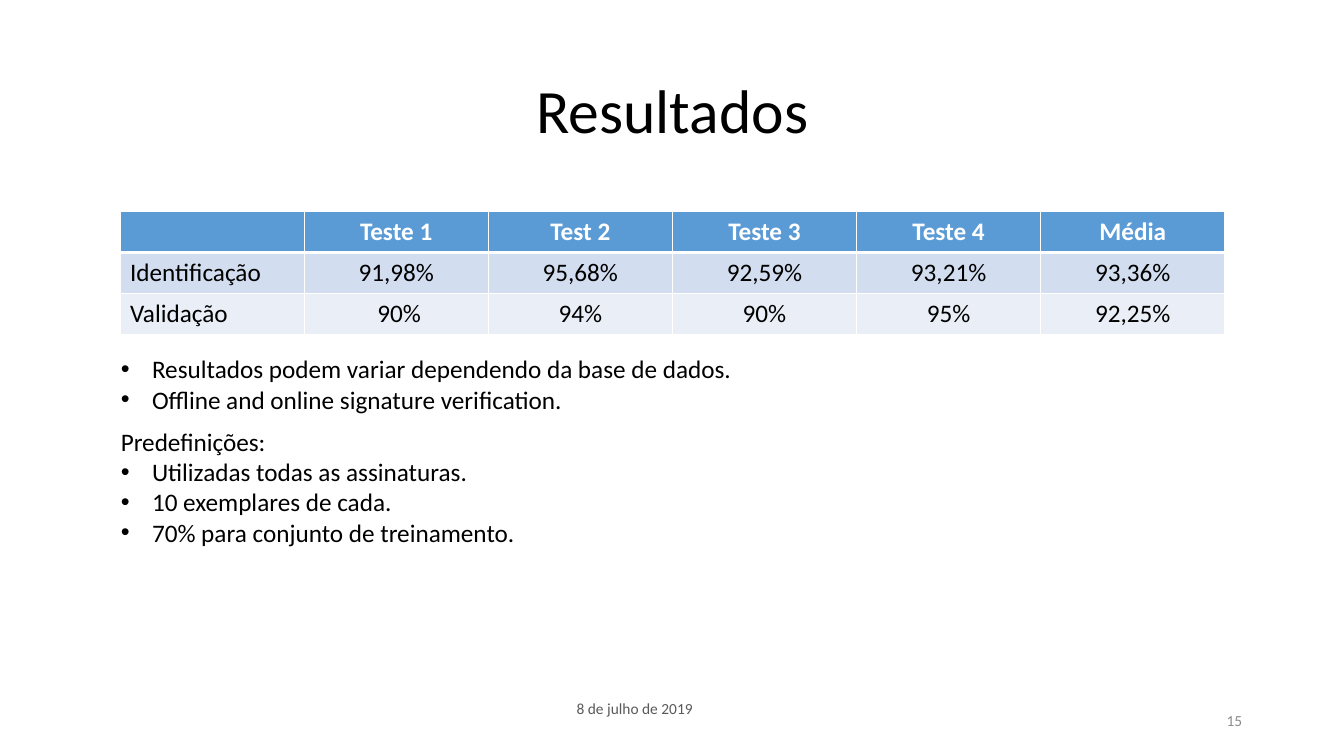
from lxml import etree
from pptx import Presentation
from pptx.dml.color import RGBColor
from pptx.enum import text as t
from pptx.oxml import ns
from pptx.util import Inches, Pt

# Content
TITLE = "Resultados"
DATE = "8 de julho de 2019"
PAGE = "15"
GRID = [
    ["", "Teste 1", "Test 2", "Teste 3", "Teste 4", "Média"],
    ["Identificação", "91,98%", "95,68%", "92,59%", "93,21%", "93,36%"],
    ["Validação", " 90%", "94%", "90%", "95%", "92,25%"],
]
NOTES = ["Resultados podem variar dependendo da base de dados.",
         "Offline and online signature verification."]
HEAD = "Predefinições:"
SETUP = ["Utilizadas todas as assinaturas.",
         "10 exemplares de cada.",
         "70% para conjunto de treinamento."]

# Format
HEX = {"black": "000000", "white": "FFFFFF", "date": "595959",
       "page": "8C8C8C", "head": "5B9BD5", "odd": "D2DEEF", "even": "EAEFF7"}
FONT = "Calibri"
LEFT, MID, RIGHT = t.PP_ALIGN.LEFT, t.PP_ALIGN.CENTER, t.PP_ALIGN.RIGHT
INDENT = Inches(0.31)


def tint(name):
    return RGBColor.from_string(HEX[name])


def write(para, words, size, color, align=LEFT, bold=False):
    para.alignment = align
    run = para.add_run()
    run.text = words
    look = {"name": FONT, "size": Pt(size), "bold": bold}
    for key, value in look.items():
        setattr(run.font, key, value)
    run.font.color.rgb = tint(color)


def bullet(para):
    props = para._p.get_or_add_pPr()
    props.set("marL", str(INDENT))
    props.set("indent", str(-INDENT))
    for tag, key, value in (("a:buFont", "typeface", "Arial"),
                            ("a:buChar", "char", "•")):
        etree.SubElement(props, ns.qn(tag)).set(key, value)


def box(slide, place, lines, size, color, align=LEFT, middle=True):
    """Add a text box; lines are (words, has bullet) pairs."""
    frame = slide.shapes.add_textbox(*map(Inches, place)).text_frame
    frame.word_wrap = True
    frame.vertical_anchor = t.MSO_ANCHOR.MIDDLE if middle else t.MSO_ANCHOR.TOP
    for i, (words, dot) in enumerate(lines):
        para = frame.add_paragraph() if i else frame.paragraphs[0]
        write(para, words, size, color, align)
        if dot:
            bullet(para)
    return frame


def border(cell, base):
    props = cell._tc.get_or_add_tcPr()
    for side, width in (("L", 1), ("R", 1), ("T", 1), ("B", base)):
        line = etree.SubElement(props, ns.qn("a:ln" + side), w=str(Pt(width)))
        fill = etree.SubElement(line, ns.qn("a:solidFill"))
        etree.SubElement(fill, ns.qn("a:srgbClr"), val=HEX["white"])


def table(slide):
    rows, cols = len(GRID), len(GRID[0])
    grid = slide.shapes.add_table(rows, cols, Inches(1.19), Inches(2.1),
                                  Inches(10.96), Inches(1.22)).table
    for r, row in enumerate(GRID):
        for c, words in enumerate(row):
            cell = grid.cell(r, c)
            border(cell, 1 if r else 3)
            cell.fill.solid()
            cell.fill.fore_color.rgb = tint(("head", "odd", "even")[r])
            write(cell.text_frame.paragraphs[0], words, 18,
                  "black" if r else "white", MID if c else LEFT, not r)


def main():
    deck = Presentation()
    deck.slide_width, deck.slide_height = Inches(13.33), Inches(7.5)
    slide = deck.slides.add_slide(deck.slide_layouts[6])

    # Title and footer
    title = box(slide, (0.92, 0.4, 11.5, 1.45), [(TITLE, False)], 44, "black", MID)
    title.paragraphs[0].line_spacing = 0.9
    box(slide, (5.62, 6.83, 3, 0.4), [(DATE, False)], 11, "date")
    box(slide, (9.42, 6.95, 3, 0.4), [(PAGE, False)], 11, "page", RIGHT)

    # Table and lists
    table(slide)
    box(slide, (1.1, 3.46, 6.34, 1.01), [(s, True) for s in NOTES],
        18, "black", middle=False)
    box(slide, (1.1, 4.18, 10.96, 1.62),
        [(HEAD, False)] + [(s, True) for s in SETUP], 18, "black", middle=False)

    deck.save("out.pptx")


if __name__ == "__main__":
    main()
